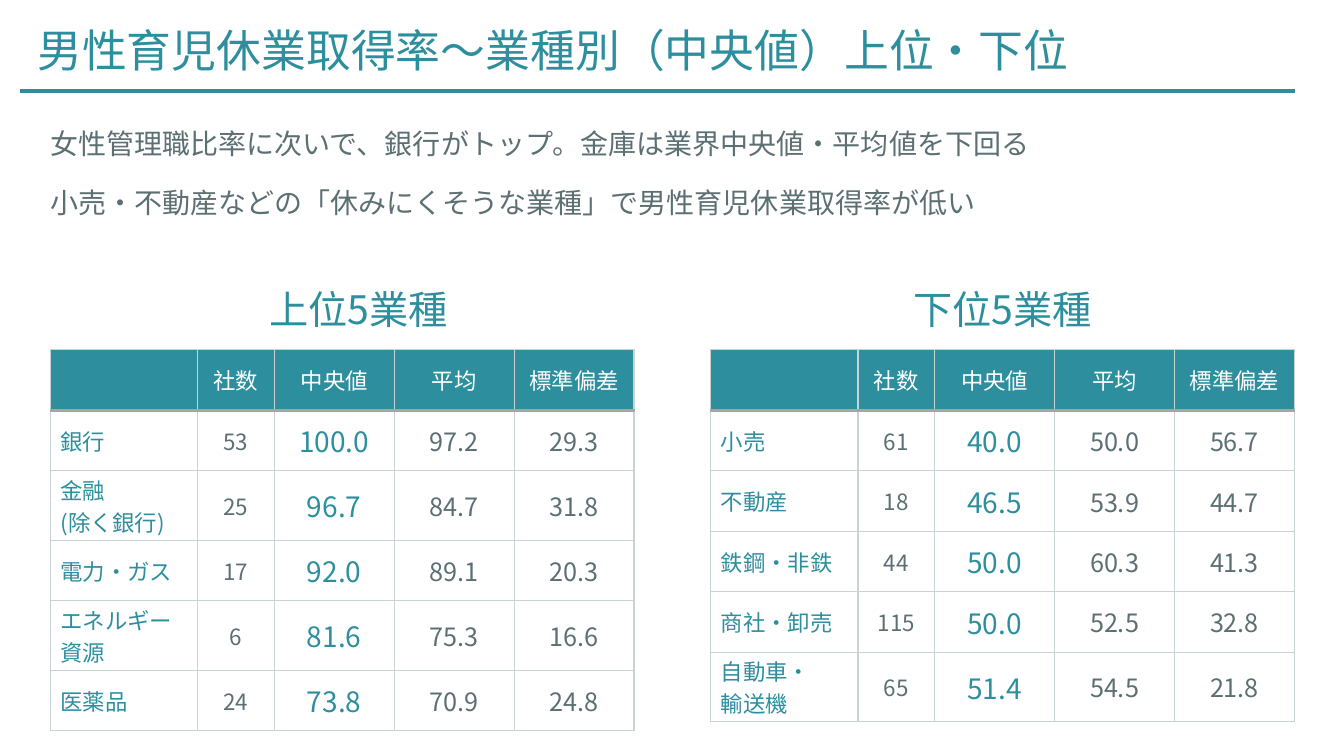
from lxml import etree
from pptx import Presentation
from pptx import util as u
from pptx.dml.color import RGBColor
from pptx.enum import shapes, text
from pptx.oxml import ns

FONT = "Noto Sans CJK JP"
TEAL, GREY, WHITE = "2D8F9E", "5C6F73", "FFFFFF"
RULE, EDGE = "C9D2D4", "A5A5A5"
LEFT, MID = text.PP_ALIGN.LEFT, text.PP_ALIGN.CENTER

WIDTHS = [1.46, 0.76, 1.19, 1.19, 1.19]
ROW, TALL = 0.6, 0.69
HEADS = ["", "社数", "中央値", "平均", "標準偏差"]
STYLES = [(16, TEAL, LEFT), (16, GREY, MID), (20, TEAL, MID),
          (18, GREY, MID), (18, GREY, MID)]
TOP = [
    ["銀行", "53", "100.0", "97.2", "29.3"],
    ["金融\n(除く銀行)", "25", "96.7", "84.7", "31.8"],
    ["電力・ガス", "17", "92.0", "89.1", "20.3"],
    ["エネルギー\n資源", "6", "81.6", "75.3", "16.6"],
    ["医薬品", "24", "73.8", "70.9", "24.8"],
]
LOW = [
    ["小売", "61", "40.0", "50.0", "56.7"],
    ["不動産", "18", "46.5", "53.9", "44.7"],
    ["鉄鋼・非鉄", "44", "50.0", "60.3", "41.3"],
    ["商社・卸売", "115", "50.0", "52.5", "32.8"],
    ["自動車・\n輸送機", "65", "51.4", "54.5", "21.8"],
]
POINTS = [
    "女性管理職比率に次いで、銀行がトップ。金庫は業界中央値・平均値を下回る",
    "小売・不動産などの「休みにくそうな業種」で男性育児休業取得率が低い",
]


def color(code):
    return RGBColor.from_string(code)


def write(frame, lines, size, code, align=LEFT):
    frame.word_wrap = True
    for i, line in enumerate(lines):
        para = frame.add_paragraph() if i else frame.paragraphs[0]
        para.alignment = align
        run = para.add_run()
        run.text = line
        run.font.size = u.Pt(size)
        run.font.color.rgb = color(code)
        run.font.name = FONT
        east = etree.SubElement(run.font._element, ns.qn("a:ea"))
        east.set("typeface", FONT)


def place(shape, box):
    shape.left, shape.top, shape.width, shape.height = map(u.Inches, box)


def label(slide, box, lines, size, code, align=LEFT):
    shape = slide.shapes.add_textbox(*map(u.Inches, box))
    write(shape.text_frame, lines, size, code, align)
    shape.text_frame.auto_size = text.MSO_AUTO_SIZE.SHAPE_TO_FIT_TEXT
    return shape.text_frame


def border(cell, sides):
    props = cell._tc.get_or_add_tcPr()
    for i, (side, (code, width)) in enumerate(sides.items()):
        line = etree.Element(ns.qn("a:ln" + side), w=str(u.Pt(width)))
        fill = etree.SubElement(line, ns.qn("a:solidFill"))
        etree.SubElement(fill, ns.qn("a:srgbClr"), val=code)
        props.insert(i, line)


def header(slide, box):
    left, top, width, height = box
    title = slide.shapes.title
    place(title, (left + 0.07, top, 11.21, 0.64))
    frame = title.text_frame
    write(frame, ["男性育児休業取得率〜業種別（中央値）上位・下位"], 32, TEAL)
    frame.vertical_anchor = text.MSO_ANCHOR.TOP
    frame.auto_size = text.MSO_AUTO_SIZE.SHAPE_TO_FIT_TEXT
    ends = (left, top + height, left + width, top + height)
    rule = slide.shapes.add_connector(
        shapes.MSO_CONNECTOR.STRAIGHT, *map(u.Inches, ends))
    rule.line.color.rgb = color(TEAL)
    rule.line.width = u.Pt(3)
    etree.SubElement(rule._element.spPr, ns.qn("a:effectLst"))


def summary(slide, box):
    for para in label(slide, box, POINTS, 20, GREY).paragraphs:
        para.line_spacing = 1.5
        para.space_before = u.Pt(6)


def ranking(slide, box, name, shift, data):
    left, top, width = box
    label(slide, (left + shift, top, width, 0.57), [name], 28, TEAL, MID)
    rows = [HEADS] + data
    highs = [TALL if "\n" in row[0] else ROW for row in rows]
    area = (left, top + 0.69, width, sum(highs))
    table = slide.shapes.add_table(
        len(rows), len(HEADS), *map(u.Inches, area)).table
    table.first_row = table.horz_banding = False
    for col, wide in zip(table.columns, WIDTHS):
        col.width = u.Inches(wide)
    for r, row in enumerate(rows):
        table.rows[r].height = u.Inches(highs[r])
        for c, words in enumerate(row):
            cell = table.cell(r, c)
            cell.vertical_anchor = text.MSO_ANCHOR.MIDDLE
            if r:
                cell.fill.background()
                cell.margin_top = cell.margin_bottom = u.Inches(0.02)
                style = STYLES[c]
            else:
                cell.fill.solid()
                cell.fill.fore_color.rgb = color(TEAL)
                style = (16, WHITE, MID)
            if words:
                write(cell.text_frame, words.split("\n"), *style)
            thin, thick = (RULE, 1), (EDGE, 2.25)
            border(cell, {"L": thin, "R": thin,
                          "T": thick if r == 1 else thin,
                          "B": thin if r else thick})


def main():
    deck = Presentation()
    deck.slide_width, deck.slide_height = u.Inches(13.33), u.Inches(7.5)
    slide = deck.slides.add_slide(deck.slide_layouts[5])
    header(slide, (0.2, 0.18, 12.64, 0.72))
    summary(slide, (0.4, 1.04, 11.76, 1.12))
    wide = sum(WIDTHS)
    ranking(slide, (0.5, 2.78, wide), "上位5業種", 0.16, TOP)
    ranking(slide, (7.05, 2.78, wide), "下位5業種", 0, LOW)
    deck.save("out.pptx")


if __name__ == "__main__":
    main()
